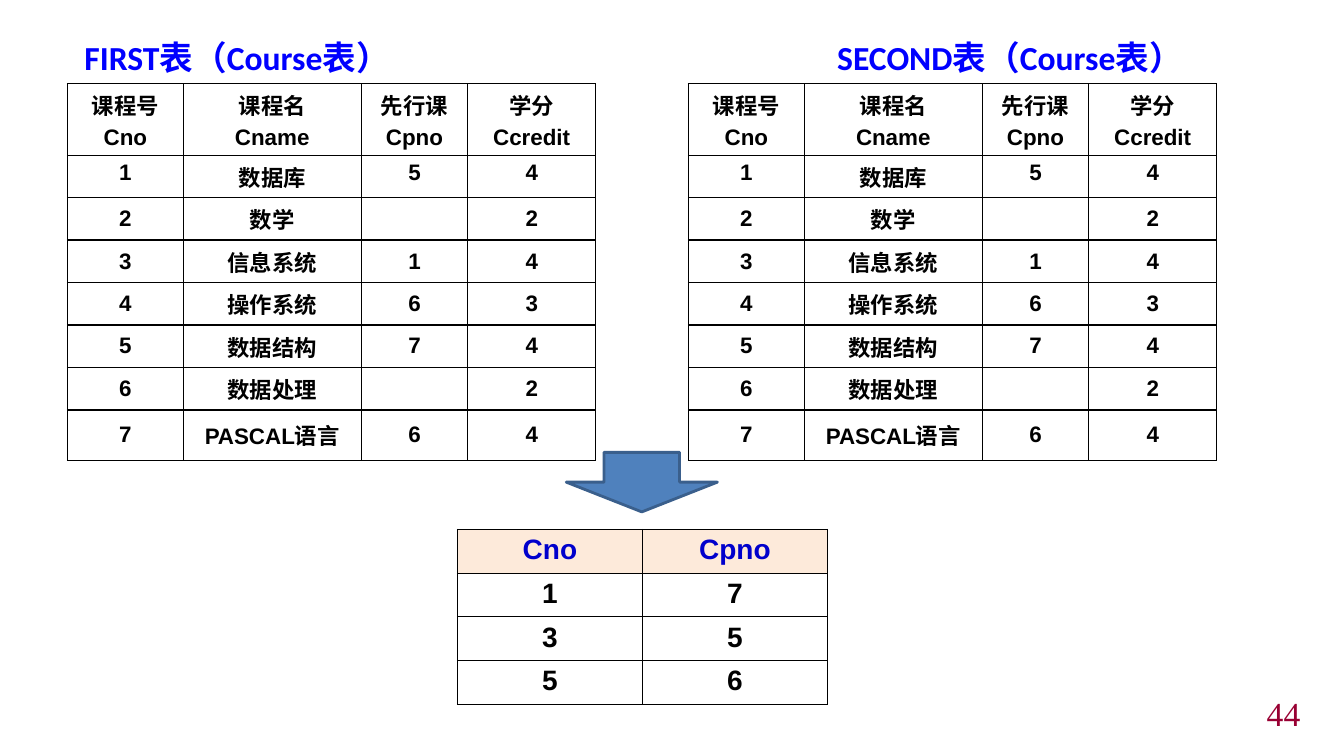
import pptx
import pptx.util
import pptx.dml.color
import pptx.enum.shapes
import pptx.enum.text
import pptx.oxml
import pptx.oxml.ns

Cm, Pt = pptx.util.Cm, pptx.util.Pt
ALIGN = pptx.enum.text.PP_ALIGN
ANCHOR = pptx.enum.text.MSO_ANCHOR

# Content
TITLE = "FIRST表（Course表）\tSECOND表（Course表）"
COURSES = [
    ("课程号\nCno", "课程名\nCname", "先行课\nCpno", "学分\nCcredit"),
    ("1", "数据库", "5", "4"),
    ("2", "数学", "", "2"),
    ("3", "信息系统", "1", "4"),
    ("4", "操作系统", "6", "3"),
    ("5", "数据结构", "7", "4"),
    ("6", "数据处理", "", "2"),
    ("7", "PASCAL语言", "6", "4"),
]
PAIRS = [("Cno", "Cpno"), ("1", "7"), ("3", "5"), ("5", "6")]
PAGE = "44"
COLORS = {
    "text": "000000", "title": "0000FF", "head": "0000CC", "peach": "FDEADA",
    "arrow": "4F81BD", "edge": "3A5F8C", "page": "990033",
}

# Sizes in centimetres
LEFTS = (1.7, 17.35)
TOP = 2.11
COLS = (2.92, 4.48, 2.69, 3.22)
ROWS = [1.8] + [1.07] * 6 + [1.27]


def color(name):
    return pptx.dml.color.RGBColor.from_string(COLORS[name])


def style(para, face, size, name, bold=True, align=ALIGN.CENTER):
    para.alignment = align
    font = para.font
    font.name, font.size, font.bold = face, Pt(size), bold
    font.color.rgb = color(name)


def border(cell):
    props = cell._tc.get_or_add_tcPr()
    for side in ("lnL", "lnR", "lnT", "lnB"):
        props.append(pptx.oxml.parse_xml(
            f'<a:{side} {pptx.oxml.ns.nsdecls("a")} w="12700"><a:solidFill>'
            f'<a:srgbClr val="{COLORS["text"]}"/></a:solidFill></a:{side}>'))


def add_grid(slide, data, left, top, cols, rows, size, tops=0, head=None):
    """Draw a ruled table; the first `tops` rows are anchored at the top."""
    table = slide.shapes.add_table(
        len(rows), len(cols), Cm(left), Cm(top), Cm(sum(cols)), Cm(sum(rows))).table
    table.first_row = table.horz_banding = False
    for col, width in zip(table.columns, cols):
        col.width = Cm(width)
    for i, (row, height) in enumerate(zip(table.rows, rows)):
        row.height = Cm(height)
        for cell, text in zip(row.cells, data[i]):
            border(cell)
            cell.margin_left = cell.margin_right = Cm(0.33)
            cell.vertical_anchor = ANCHOR.TOP if i < tops else ANCHOR.MIDDLE
            cell.fill.background()
            if head and i == 0:
                cell.fill.solid()
                cell.fill.fore_color.rgb = color("peach")
            cell.text = text
            for k, para in enumerate(cell.text_frame.paragraphs):
                if k:
                    para.space_before = Pt(size * 0.2)
                style(para, "Arial", size, head if head and i == 0 else "text")


def add_text(slide, text, left, top, width, height):
    frame = slide.shapes.add_textbox(Cm(left), Cm(top), Cm(width), Cm(height)).text_frame
    frame.word_wrap = True
    frame.text = text
    return frame


def main():
    deck = pptx.Presentation()
    deck.slide_width, deck.slide_height = Cm(33.87), Cm(19.05)
    slide = deck.slides.add_slide(deck.slide_layouts[6])

    # Page number
    frame = add_text(slide, PAGE, 26.24, 17.37, 6.78, 1.19)
    frame.vertical_anchor = ANCHOR.MIDDLE
    style(frame.paragraphs[0], "Times New Roman", 24, "page", False, ALIGN.RIGHT)

    # Course tables
    for left in LEFTS:
        add_grid(slide, COURSES, left, TOP, COLS, ROWS, 16, tops=2)

    # Titles, the second one at a tab stop
    frame = add_text(slide, TITLE, LEFTS[0], 0.3, 29, 1.8)
    frame.margin_left = Cm(0.43)
    para = frame.paragraphs[0]
    para.line_spacing = 1.5
    para._p.get_or_add_pPr().append(pptx.oxml.parse_xml(
        f'<a:tabLst {pptx.oxml.ns.nsdecls("a")}>'
        f'<a:tab pos="{Cm(18.97)}" algn="l"/></a:tabLst>'))
    style(para, "Calibri", 24, "title", align=ALIGN.LEFT)

    # Result table
    add_grid(slide, PAIRS, 11.53, 13.34, [4.66] * 2, [1.04] * 4, 20, tops=4, head="head")

    # Arrow
    arrow = slide.shapes.add_shape(
        pptx.enum.shapes.MSO_SHAPE.DOWN_ARROW, Cm(14.27), Cm(11.4), Cm(3.81), Cm(1.5))
    arrow.shadow.inherit = False
    arrow.fill.solid()
    arrow.fill.fore_color.rgb = color("arrow")
    arrow.line.color.rgb = color("edge")
    arrow.line.width = Pt(2)

    deck.save("out.pptx")


if __name__ == "__main__":
    main()
